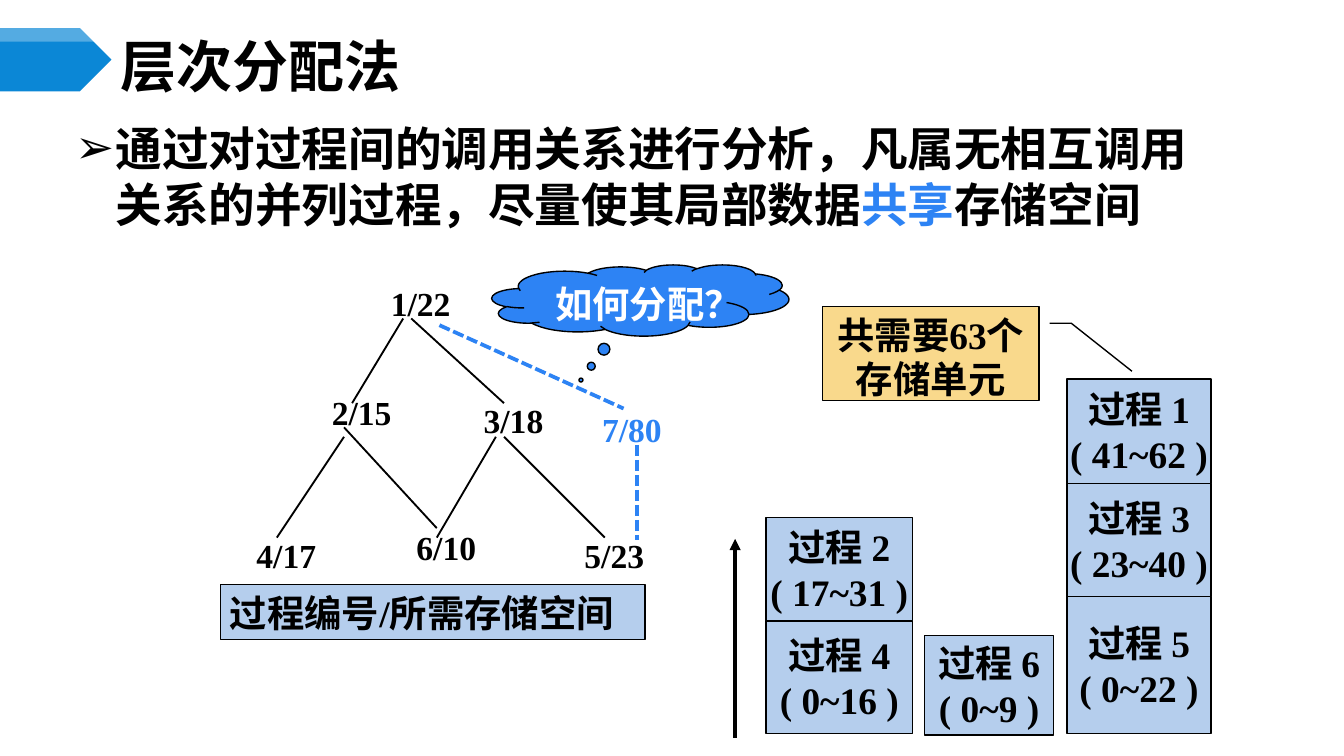
from typing import Any, NamedTuple

import lxml.etree
import pptx
import pptx.dml.color
import pptx.enum.dml
import pptx.enum.shapes
import pptx.enum.text
import pptx.oxml.ns
import pptx.util

EMU_PER_PX = 9144  # 100 px to the inch

BLACK = pptx.dml.color.RGBColor(0x00, 0x00, 0x00)
WHITE = pptx.dml.color.RGBColor(0xFF, 0xFF, 0xFF)
BANNER_BLUE = pptx.dml.color.RGBColor(0x0B, 0x87, 0xD6)
ACCENT_BLUE = pptx.dml.color.RGBColor(0x2D, 0x83, 0xF4)
PALE_BLUE = pptx.dml.color.RGBColor(0xB5, 0xCE, 0xED)
AMBER = pptx.dml.color.RGBColor(0xF9, 0xD9, 0x8C)

SERIF = "Times New Roman"
SANS = "Noto Sans CJK SC"
PRESET = pptx.enum.shapes.MSO_SHAPE
ALIGN = pptx.enum.text.PP_ALIGN
ANCHOR = pptx.enum.text.MSO_ANCHOR
qn = pptx.oxml.ns.qn


class Box(NamedTuple):
    left: int
    top: int
    width: int
    height: int


class Node(NamedTuple):
    text: str
    box: Box
    color: Any = BLACK
    inset: int = 10


class Edge(NamedTuple):
    start: tuple[int, int]
    end: tuple[int, int]
    color: Any = BLACK
    width: int = 1
    dashed: bool = False
    arrow: bool = False


class Cell(NamedTuple):
    height: int
    process: int
    addresses: str


class Stack(NamedTuple):
    left: int
    width: int
    bottom: int
    cells: list[Cell]  # from the bottom up


NODES = [
    Node("1/22", Box(281, 206, 75, 40)),
    Node("2/15", Box(237, 287, 75, 40)),
    Node("3/18", Box(350, 293, 81, 40)),
    Node("4/17", Box(181, 393, 69, 40)),
    Node("6/10", Box(300, 387, 75, 40)),
    Node("5/23", Box(425, 393, 69, 40)),
    Node("7/80", Box(441, 300, 62, 38), ACCENT_BLUE, 7),
]
EDGES = [
    Edge((300, 237), (262, 300)),
    Edge((306, 237), (375, 300)),
    Edge((256, 325), (206, 400)),
    Edge((256, 318), (325, 393)),
    Edge((369, 325), (325, 400)),
    Edge((375, 325), (450, 400)),
    Edge((327, 242), (464, 304), ACCENT_BLUE, 2, dashed=True),
    Edge((474, 331), (474, 402), ACCENT_BLUE, 2, dashed=True),
    Edge((547, 549), (547, 401), width=2, arrow=True),
]
STACKS = [
    Stack(570, 109, 546, [Cell(84, 4, "0~16"), Cell(77, 2, "17~31")]),
    Stack(688, 96, 547, [Cell(74, 6, "0~9")]),
    Stack(794, 107, 546,
          [Cell(102, 5, "0~22"), Cell(84, 3, "23~40"), Cell(78, 1, "41~62")]),
]


def px(length: int) -> pptx.util.Emu:
    return pptx.util.Emu(length * EMU_PER_PX)


def apply_format(target: Any, values: dict[str, Any]) -> None:
    for name, value in values.items():
        setattr(target, name, value)


def place(shape: Any, box: Box) -> None:
    apply_format(shape, {name: px(value) for name, value in box._asdict().items()})


def format_frame(frame: Any, inset: int = 7, **values: Any) -> None:
    apply_format(frame, {
        "margin_left": px(inset), "margin_right": px(inset),
        "margin_top": px(inset // 2 + inset % 2), "margin_bottom": px(inset // 2 + inset % 2),
        "auto_size": pptx.enum.text.MSO_AUTO_SIZE.NONE,
        "word_wrap": True, "vertical_anchor": ANCHOR.TOP, **values,
    })


def add_run(paragraph: Any, text: str, size: int, color: Any = BLACK, face: str = SERIF) -> None:
    """Add bold text whose East Asian characters are always sans serif."""
    run = paragraph.add_run()
    run.text = text
    apply_format(run.font, {"size": pptx.util.Pt(size), "bold": True, "name": face})
    run.font.color.rgb = color
    properties = run._r.get_or_add_rPr()
    lxml.etree.SubElement(properties, qn("a:ea"), typeface=SANS)


def add_panel(slide: Any, preset: Any, box: Box, fill: Any, lines: list[str],
              adjustments: tuple[float, ...] = (), color: Any = BLACK,
              alignment: Any = ALIGN.CENTER, **frame_values: Any) -> None:
    """Add an outlined preset shape with one paragraph for each line."""
    shape = slide.shapes.add_shape(preset, *map(px, box))
    shape.shadow.inherit = False
    for index, value in enumerate(adjustments):
        shape.adjustments[index] = value
    shape.fill.solid()
    shape.fill.fore_color.rgb = fill
    shape.line.color.rgb = BLACK
    shape.line.width = pptx.util.Pt(0.75)
    frame = shape.text_frame
    format_frame(frame, **frame_values)
    for index, line in enumerate(lines):
        paragraph = frame.add_paragraph() if index else frame.paragraphs[0]
        paragraph.alignment = alignment
        add_run(paragraph, line, 20, color)


def add_banner(slide: Any, box: Box, fill: Any, opacity: int = 100) -> None:
    shape = slide.shapes.add_shape(PRESET.PENTAGON, *map(px, box))
    shape.shadow.inherit = False
    shape.line.fill.background()
    shape.fill.solid()
    shape.fill.fore_color.rgb = fill
    if opacity < 100:
        color = shape._element.spPr.find(f"{qn('a:solidFill')}/{qn('a:srgbClr')}")
        lxml.etree.SubElement(color, qn("a:alpha"), val=str(opacity * 1000))


def add_node(slide: Any, node: Node) -> None:
    frame = slide.shapes.add_textbox(*map(px, node.box)).text_frame
    format_frame(frame, node.inset)
    add_run(frame.paragraphs[0], node.text, 18, node.color)


def add_edge(slide: Any, edge: Edge) -> None:
    connector = slide.shapes.add_connector(
        pptx.enum.shapes.MSO_CONNECTOR.STRAIGHT, *map(px, edge.start + edge.end))
    connector.line.color.rgb = edge.color
    connector.line.width = pptx.util.Pt(edge.width)
    if edge.dashed:
        connector.line.dash_style = pptx.enum.dml.MSO_LINE.SQUARE_DOT
    if edge.arrow:
        lxml.etree.SubElement(connector.line._get_or_add_ln(), qn("a:tailEnd"), type="triangle")
    lxml.etree.SubElement(connector._element.spPr, qn("a:effectLst"))


def add_stack(slide: Any, stack: Stack) -> None:
    top = stack.bottom
    for cell in stack.cells:
        top -= cell.height
        add_panel(slide, PRESET.RECTANGLE, Box(stack.left, top, stack.width, cell.height),
                  PALE_BLUE, [f"过程 {cell.process}", f"( {cell.addresses} )"],
                  word_wrap=False, vertical_anchor=ANCHOR.MIDDLE)


def fill_placeholders(slide: Any) -> None:
    title, body = slide.shapes.title, slide.placeholders[1]
    place(title, Box(83, 29, 867, 39))
    format_frame(title.text_frame, vertical_anchor=ANCHOR.MIDDLE)
    heading = title.text_frame.paragraphs[0]
    heading.alignment = ALIGN.LEFT
    add_run(heading, "层次分配法", 30, face=SANS)

    place(body, Box(16, 85, 905, 353))
    format_frame(body.text_frame)
    paragraph = body.text_frame.paragraphs[0]
    apply_format(paragraph, {"level": 1, "space_before": pptx.util.Pt(0)})
    properties = paragraph._p.get_or_add_pPr()
    properties.set("marL", str(px(63)))
    properties.set("indent", str(px(-30)))
    lxml.etree.SubElement(properties, qn("a:buChar"), char="➢")
    add_run(paragraph, "通过对过程间的调用关系进行分析，凡属无相互调用关系的并列过程，尽量使其局部数据", 25)
    add_run(paragraph, "共享", 25, ACCENT_BLUE)
    add_run(paragraph, "存储空间", 25)


def main() -> None:
    presentation = pptx.Presentation()
    presentation.slide_width = px(1000)
    presentation.slide_height = pptx.util.Emu(px(1000) * 9 // 16)
    slide = presentation.slides.add_slide(presentation.slide_layouts[1])
    add_banner(slide, Box(0, 21, 83, 47), BANNER_BLUE)
    add_banner(slide, Box(0, 21, 83, 10), WHITE, opacity=30)
    fill_placeholders(slide)
    for stack in STACKS:
        add_stack(slide, stack)
    add_panel(slide, PRESET.LINE_CALLOUT_2, Box(612, 228, 161, 70), AMBER,
              ["共需要63个存储单元"], (0.18, 1.05, 0.18, 1.15, 0.69, 1.43))
    for edge in EDGES:
        add_edge(slide, edge)
    add_panel(slide, PRESET.CLOUD_CALLOUT, Box(366, 197, 221, 53), ACCENT_BLUE,
              ["如何分配？"], (-0.2, 1.12), WHITE)
    for node in NODES:
        add_node(slide, node)
    add_panel(slide, PRESET.RECTANGLE, Box(164, 435, 316, 41), PALE_BLUE,
              ["过程编号/所需存储空间"], alignment=ALIGN.LEFT)
    presentation.save("out.pptx")


if __name__ == "__main__":
    main()
